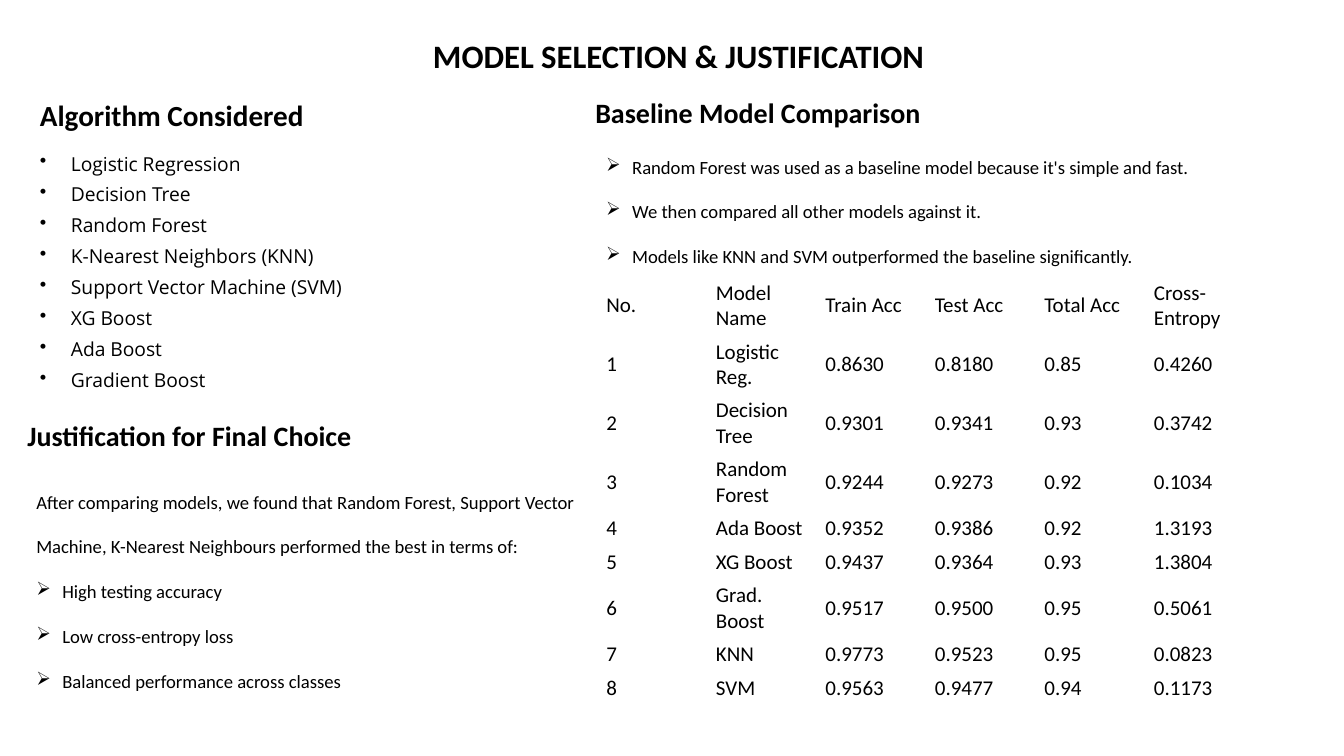
from lxml.etree import SubElement
from pptx import Presentation
from pptx.dml.color import RGBColor
from pptx.enum.text import MSO_ANCHOR, MSO_AUTO_SIZE, PP_ALIGN
from pptx.oxml.ns import qn
from pptx.util import Emu, Pt

BLACK = RGBColor(0x00, 0x00, 0x00)
WHITE = RGBColor(0xFF, 0xFF, 0xFF)
EMU_PER_PX = 914400 / 84
HEADING_FONT = "Calibri"
LIST_FONT = "Open Sans"

ALGORITHMS = [
    "Logistic Regression", "Decision Tree", "Random Forest", "K-Nearest Neighbors (KNN)",
    "Support Vector Machine (SVM)", "XG Boost", "Ada Boost", "Gradient Boost",
]
JUSTIFICATION = (
    "After comparing models, we found that Random Forest, Support Vector Machine, "
    "K-Nearest Neighbours performed the best in terms of:"
)
REASONS = ["High testing accuracy", "Low cross-entropy loss", "Balanced performance across classes"]
BASELINE_POINTS = [
    "Random Forest was used as a baseline model because it's simple and fast.",
    "We then compared all other models against it.",
    "Models like KNN and SVM outperformed the baseline significantly.",
]
RESULTS = [
    ("No.", "Model Name", "Train Acc", "Test Acc", "Total Acc", "Cross-Entropy"),
    ("1", "Logistic Reg.", "0.8630", "0.8180", "0.85", "0.4260"),
    ("2", "Decision Tree", "0.9301", "0.9341", "0.93", "0.3742"),
    ("3", "Random Forest", "0.9244", "0.9273", "0.92", "0.1034"),
    ("4", "Ada Boost", "0.9352", "0.9386", "0.92", "1.3193"),
    ("5", "XG Boost", "0.9437", "0.9364", "0.93", "1.3804"),
    ("6", "Grad. Boost", "0.9517", "0.9500", "0.95", "0.5061"),
    ("7", "KNN", "0.9773", "0.9523", "0.95", "0.0823"),
    ("8", "SVM", "0.9563", "0.9477", "0.94", "0.1173"),
]


def px(length):
    """Turn pixels into EMU."""
    return Emu(round(length * EMU_PER_PX))


def set_font(paragraph, size, name=HEADING_FONT, bold=False):
    """Format a whole paragraph in black."""
    font = paragraph.font
    font.name, font.size, font.bold = name, Pt(size), bold
    font.color.rgb = BLACK


def add_bullet(paragraph, mark, indent):
    """Give a paragraph a hanging bullet."""
    properties = paragraph._p.get_or_add_pPr()
    properties.set("marL", str(px(indent)))
    properties.set("indent", str(-px(indent)))
    SubElement(properties, qn("a:buChar")).set("char", mark)


def clear_insets(frame):
    """Remove the inner margins of a text frame."""
    frame.margin_left = frame.margin_top = frame.margin_right = frame.margin_bottom = 0


def add_text(slide, box, lines, size, name=HEADING_FONT, bold=False, spacing=None,
             mark=None, indent=0, plain=0, insets=True):
    """Write lines into a box, bulleted after the first plain ones."""
    frame = slide.shapes.add_textbox(*map(px, box)).text_frame
    frame.word_wrap = True
    if not insets:
        clear_insets(frame)
    for index, line in enumerate(lines):
        paragraph = frame.paragraphs[0] if index == 0 else frame.add_paragraph()
        paragraph.text = line
        paragraph.line_spacing = spacing
        if mark and index >= plain:
            add_bullet(paragraph, mark, indent)
        set_font(paragraph, size, name, bold)


def place_title(slide, box):
    """Move and format the title placeholder."""
    title = slide.shapes.title
    title.left, title.top, title.width, title.height = map(px, box)
    frame = title.text_frame
    clear_insets(frame)
    frame.word_wrap = True
    frame.auto_size = MSO_AUTO_SIZE.NONE
    frame.vertical_anchor = MSO_ANCHOR.TOP
    paragraph = frame.paragraphs[0]
    paragraph.text = "MODEL SELECTION & JUSTIFICATION"
    paragraph.alignment = PP_ALIGN.LEFT
    paragraph.line_spacing = Pt(52)
    set_font(paragraph, 28, bold=True)


def add_algorithms(slide, box):
    """List the algorithms under their heading."""
    x, y, w, h = box
    add_text(slide, (x, y, w, 40), ["Algorithm Considered"], 25, bold=True,
             spacing=Pt(31), insets=False)
    add_text(slide, (x, y + 48, w, h - 48), ALGORITHMS, 16.5, LIST_FONT,
             spacing=Pt(26.5), mark="•", indent=31, insets=False)


def add_justification(slide, box):
    """Explain the final choice under its heading."""
    x, y, w, h = box
    add_text(slide, (x, y, w, 42), ["Justification for Final Choice"], 24, bold=True)
    add_text(slide, (x + 9, y + 50, w - 9, h - 50), [JUSTIFICATION, *REASONS], 16,
             spacing=2.0, mark="➢", indent=26, plain=1)


def add_comparison(slide, box):
    """Introduce the baseline comparison and tabulate the results."""
    x, y, w, h = box
    add_text(slide, (x, y, w, 42), ["Baseline Model Comparison"], 24, bold=True)
    add_text(slide, (x + 11, y + 38, w - 11, 146), BASELINE_POINTS, 16,
             spacing=2.0, mark="➢", indent=26)
    add_results(slide, (x + 11, y + 185, w - 11, h - 185))


def add_results(slide, box):
    """Fill a plain table with the model scores."""
    table = slide.shapes.add_table(len(RESULTS), len(RESULTS[0]), *map(px, box)).table
    table.first_row = table.horz_banding = False
    for row, values in zip(table.rows, RESULTS):
        row.height = px(56 if " " in values[1] and values[1] not in ("Ada Boost", "XG Boost") else 32)
        for cell, value in zip(row.cells, values):
            cell.text = value
            cell.fill.background()
            cell.vertical_anchor = MSO_ANCHOR.MIDDLE
            set_font(cell.text_frame.paragraphs[0], 18)


def main():
    """Build and save the slide."""
    presentation = Presentation()
    presentation.slide_width, presentation.slide_height = px(1344), px(756)
    slide = presentation.slides.add_slide(presentation.slide_layouts[5])
    slide.background.fill.solid()
    slide.background.fill.fore_color.rgb = WHITE
    place_title(slide, (433, 14, 528, 73))
    add_algorithms(slide, (40, 96, 328, 296))
    add_justification(slide, (19, 414, 600, 319))
    add_comparison(slide, (587, 91, 668, 613))
    presentation.save("out.pptx")


if __name__ == "__main__":
    main()
